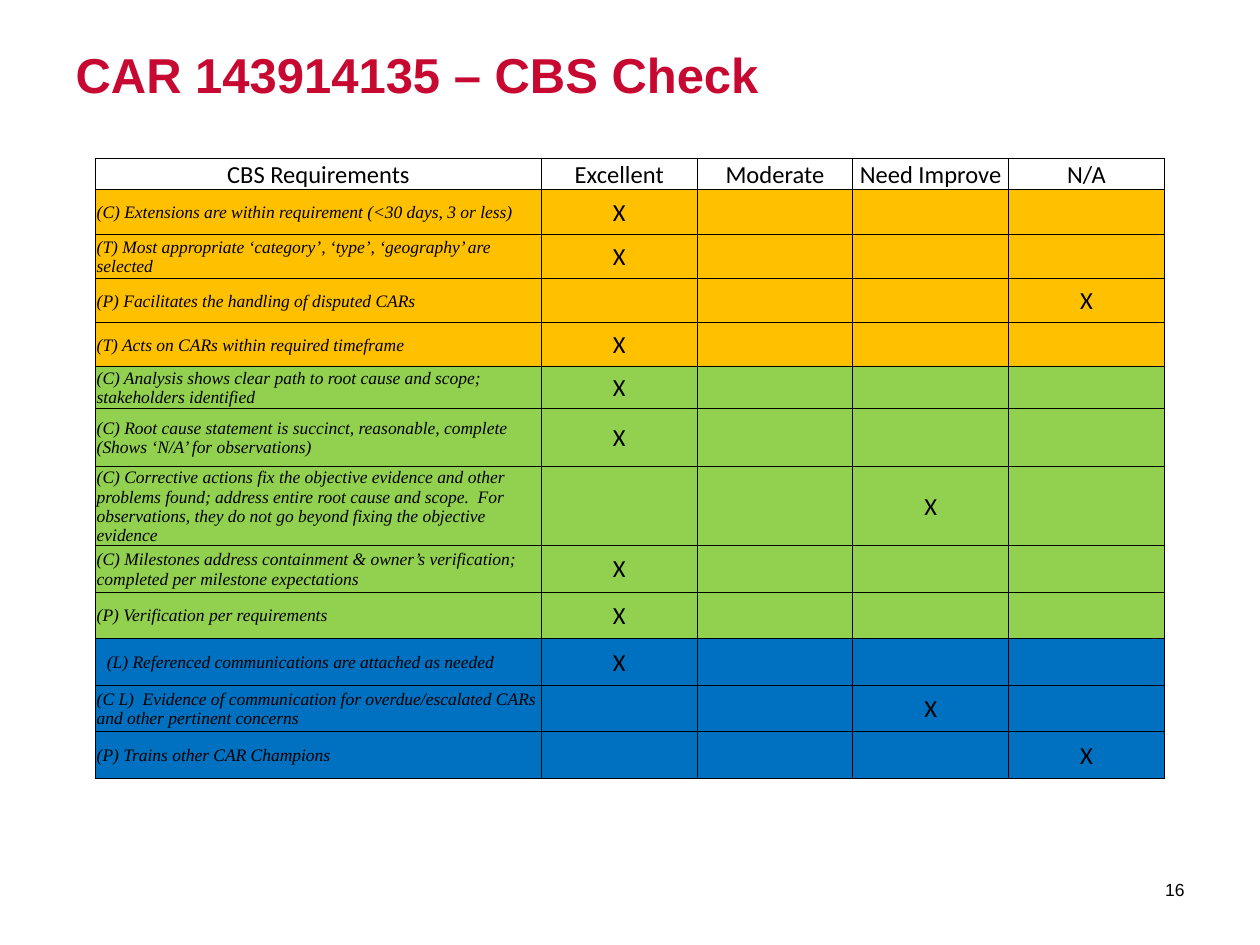
from pptx import Presentation
from pptx.dml.color import RGBColor
from pptx.enum.text import MSO_ANCHOR, MSO_AUTO_SIZE, PP_ALIGN
from pptx.oxml.ns import qn
from pptx.util import Pt
from lxml import etree

LEFT, CENTER, RIGHT = PP_ALIGN.LEFT, PP_ALIGN.CENTER, PP_ALIGN.RIGHT
TOP, MIDDLE, BOTTOM = MSO_ANCHOR.TOP, MSO_ANCHOR.MIDDLE, MSO_ANCHOR.BOTTOM
NO_AUTOFIT = MSO_AUTO_SIZE.NONE

COLORS = {"title": "C70932", "text": "000000", "border": "000000",
          "orange": "FFC000", "green": "92D050", "blue": "0070C0"}

TITLE = "CAR 143914135 – CBS Check"
PAGE_NUMBER = "16"
HEADINGS = ["CBS Requirements", "Excellent", "Moderate", "Need Improve", "N/A"]
REQUIREMENTS = [
    ("orange", 25.3, "Excellent", "(C) Extensions are within requirement (<30 days, 3 or less)"),
    ("orange", 25.3, "Excellent", "(T) Most appropriate ‘category’, ‘type’, ‘geography’ are selected"),
    ("orange", 25.3, "N/A", "(P) Facilitates the handling of disputed CARs"),
    ("orange", 25.3, "Excellent", "(T) Acts on CARs within required timeframe"),
    ("green", 24, "Excellent",
     "(C) Analysis shows clear path to root cause and scope; stakeholders identified"),
    ("green", 33.1, "Excellent",
     "(C) Root cause statement is succinct, reasonable, complete (Shows ‘N/A’ for observations)"),
    ("green", 45.1, "Need Improve",
     "(C) Corrective actions fix the objective evidence and other problems found; "
     "address entire root cause and scope.  For observations, they do not go beyond "
     "fixing the objective evidence"),
    ("green", 26.6, "Excellent",
     "(C) Milestones address containment & owner’s verification; "
     "completed per milestone expectations"),
    ("green", 26.6, "Excellent", "(P) Verification per requirements"),
    ("blue", 26.6, "Excellent", "(L) Referenced communications are attached as needed"),
    ("blue", 26.6, "Need Improve",
     "(C L)  Evidence of communication for overdue/escalated CARs and other pertinent concerns"),
    ("blue", 26.6, "N/A", "(P) Trains other CAR Champions"),
]
INDENTED = "(L)"
HEADER_HEIGHT = 18
COLUMN_WIDTHS = [254.8] + [89] * 4
TABLE_LEFT, TABLE_TOP = 54.6, 90.5

TITLE_FONT = {"name": "Arial", "size": Pt(28), "bold": True}
NUMBER_FONT = {"name": "Arial", "size": Pt(10)}
MARK_FONT = {"name": "Calibri", "size": Pt(14), "italic": False, "bold": False}
REQUIREMENT_FONT = {"name": "Times New Roman", "size": Pt(10), "italic": True, "bold": False}


def set_attributes(target, values):
    for name, value in values.items():
        setattr(target, name, value)


def write(frame, text, font, align, color="text"):
    para = frame.paragraphs[0]
    para.alignment = align
    span = para.add_run()
    span.text = text
    set_attributes(span.font, font)
    span.font.color.rgb = RGBColor.from_string(COLORS[color])


def place(box, left, top, width, height, anchor):
    set_attributes(box, {"left": Pt(left), "top": Pt(top),
                         "width": Pt(width), "height": Pt(height)})
    set_attributes(box.text_frame, {"word_wrap": True, "auto_size": NO_AUTOFIT,
                                    "vertical_anchor": anchor})


def add_borders(cell, widths):
    properties = cell._tc.get_or_add_tcPr()
    for index, (side, width) in enumerate(widths.items()):
        line = etree.Element(qn("a:" + side), w=str(Pt(width)))
        fill = etree.SubElement(line, qn("a:solidFill"))
        etree.SubElement(fill, qn("a:srgbClr"), val=COLORS["border"])
        properties.insert(index, line)


def format_cell(cell, row, column, last_row, last_column):
    set_attributes(cell, {"margin_left": Pt(0.7), "margin_right": Pt(0.7),
                          "margin_top": Pt(0.7), "margin_bottom": Pt(0),
                          "vertical_anchor": MIDDLE if row else BOTTOM})
    outer = {"lnL": column == 0, "lnR": column == last_column,
             "lnT": row == 0, "lnB": row == last_row}
    add_borders(cell, {side: 1 if edge else 0.5 for side, edge in outer.items()})


def add_check_table(page):
    heights = [HEADER_HEIGHT] + [height for _, height, _, _ in REQUIREMENTS]
    frame = page.shapes.add_table(len(heights), len(HEADINGS), Pt(TABLE_LEFT), Pt(TABLE_TOP),
                                  Pt(sum(COLUMN_WIDTHS)), Pt(sum(heights)))
    table = frame.table
    table.first_row = table.horz_banding = False
    for column, width in zip(table.columns, COLUMN_WIDTHS):
        column.width = Pt(width)
    for row, height in zip(table.rows, heights):
        row.height = Pt(height)

    for column, heading in enumerate(HEADINGS):
        cell = table.cell(0, column)
        cell.fill.background()
        write(cell.text_frame, heading, MARK_FONT, CENTER)
    for row, (color, _, rating, requirement) in enumerate(REQUIREMENTS, 1):
        for column in range(len(HEADINGS)):
            cell = table.cell(row, column)
            cell.fill.solid()
            cell.fill.fore_color.rgb = RGBColor.from_string(COLORS[color])
        write(table.cell(row, 0).text_frame, requirement, REQUIREMENT_FONT, LEFT)
        write(table.cell(row, HEADINGS.index(rating)).text_frame, "X", MARK_FONT, CENTER)

    for row in range(len(heights)):
        for column in range(len(HEADINGS)):
            format_cell(table.cell(row, column), row, column,
                        len(heights) - 1, len(HEADINGS) - 1)
        if row and REQUIREMENTS[row - 1][3].startswith(INDENTED):
            table.cell(row, 0).margin_left = Pt(6.5)


def main():
    deck = Presentation()
    deck.slide_width, deck.slide_height = Pt(720), Pt(540)
    page = deck.slides.add_slide(deck.slide_layouts[5])

    title = page.shapes.title
    place(title, 36, 21.6, 648, 90, TOP)
    write(title.text_frame, TITLE, TITLE_FONT, LEFT, "title")

    add_check_table(page)

    number = page.shapes.add_textbox(Pt(0), Pt(0), Pt(0), Pt(0))
    place(number, 633.6, 494, 50.4, 28.8, MIDDLE)
    write(number.text_frame, PAGE_NUMBER, NUMBER_FONT, RIGHT)

    deck.save("out.pptx")


if __name__ == "__main__":
    main()
